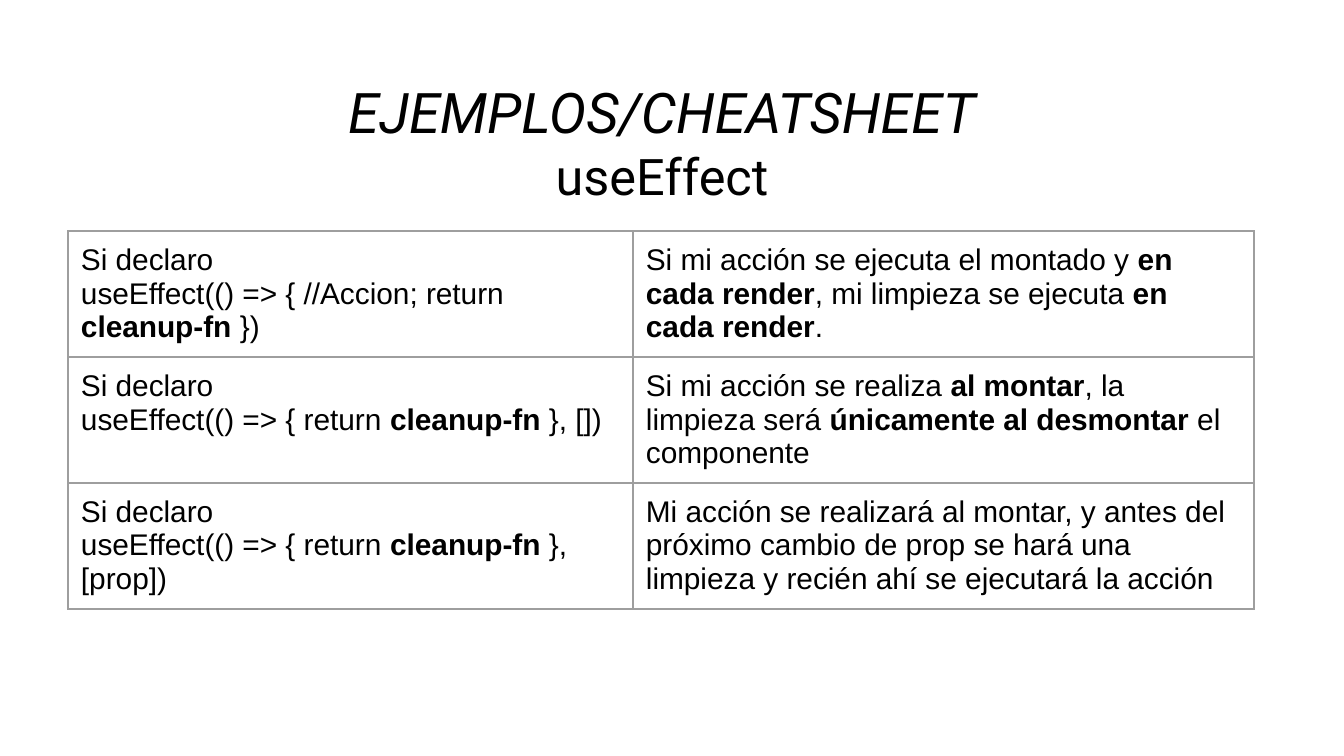
from lxml.etree import SubElement
from pptx import Presentation
from pptx.dml.color import RGBColor
from pptx.enum.text import MSO_ANCHOR, PP_ALIGN
from pptx.oxml.ns import qn
from pptx.util import Emu, Pt

EMU_PER_PX = 914400 / 134.4
BLACK = RGBColor(0x00, 0x00, 0x00)
GRID_GREY = RGBColor(0x9E, 0x9E, 0x9E)
INSET = 13

HEADING = [
    ("EJEMPLOS/CHEATSHEET", {"name": "Roboto", "size": Pt(30), "italic": True}),
    ("useEffect", {"name": "Roboto", "size": Pt(27), "italic": False}),
]
BODY_FONT = {"name": "Arial", "size": Pt(16)}
COLUMN_WIDTHS = [565, 621]
EFFECT_CASES = [
    (
        ["Si declaro", "useEffect(() => { //Accion; return **cleanup-fn **})"],
        ["Si mi acción se ejecuta el montado y **en cada render**, "
         "mi limpieza se ejecuta **en cada render**."],
    ),
    (
        ["Si declaro", "useEffect(() => { return **cleanup-fn **}, [])"],
        ["Si mi acción se realiza **al montar**, la limpieza será "
         "**únicamente al desmontar **el componente"],
    ),
    (
        ["Si declaro", "useEffect(() => { return **cleanup-fn **}, [prop])"],
        ["Mi acción se realizará al montar, y antes del próximo cambio de prop "
         "se hará una limpieza y recién ahí se ejecutará la acción"],
    ),
]


def px(length):
    """Turn px into EMU."""
    return Emu(round(length * EMU_PER_PX))


def apply_format(target, values):
    """Set each attribute in values on target."""
    for attribute, value in values.items():
        setattr(target, attribute, value)


def add_words(paragraph, words, font_values):
    """Add one formatted run to a paragraph."""
    run = paragraph.add_run()
    run.text = words
    apply_format(run.font, font_values)
    run.font.color.rgb = BLACK


def next_paragraph(frame, index):
    """Return the first paragraph of a frame, or a new one after it."""
    return frame.add_paragraph() if index else frame.paragraphs[0]


def add_heading(slide, left, top, width, height):
    """Place the two centred heading lines in the given box."""
    heading = slide.shapes.add_textbox(px(left), px(top), px(width), px(height))
    frame = heading.text_frame
    apply_format(frame, {
        "word_wrap": True,
        "vertical_anchor": MSO_ANCHOR.TOP,
        "margin_left": px(INSET),
        "margin_right": px(INSET),
        "margin_top": px(INSET + 5),
        "margin_bottom": px(INSET),
    })
    for index, (words, font_values) in enumerate(HEADING):
        line = next_paragraph(frame, index)
        line.alignment = PP_ALIGN.CENTER
        add_words(line, words, font_values)


def draw_borders(cell):
    """Give a cell a thin grey line on every side, ahead of its fill."""
    properties = cell._tc.get_or_add_tcPr()
    for position, side in enumerate(("a:lnL", "a:lnR", "a:lnT", "a:lnB")):
        border = SubElement(properties, qn(side), w=str(Pt(0.75)))
        solid = SubElement(border, qn("a:solidFill"))
        SubElement(solid, qn("a:srgbClr"), val=str(GRID_GREY))
        properties.insert(position, border)


def fill_cell(cell, lines):
    """Write lines into a cell, with text between ** marks in bold."""
    cell.fill.background()
    draw_borders(cell)
    sides = ("left", "right", "top", "bottom")
    apply_format(cell, {f"margin_{side}": px(INSET) for side in sides})
    for index, line in enumerate(lines):
        paragraph = next_paragraph(cell.text_frame, index)
        for part, words in enumerate(line.split("**")):
            add_words(paragraph, words, {**BODY_FONT, "bold": part % 2 == 1})


def add_effect_table(slide, left, top, width, height):
    """Place the table of useEffect cases in the given box."""
    effects = slide.shapes.add_table(
        len(EFFECT_CASES), len(COLUMN_WIDTHS),
        px(left), px(top), px(width), px(height),
    ).table
    apply_format(effects, {"first_row": False, "horz_banding": False})
    for column, column_width in zip(effects.columns, COLUMN_WIDTHS):
        column.width = px(column_width)
    for row, case in zip(effects.rows, EFFECT_CASES):
        row.height = px(height / len(EFFECT_CASES))
        for cell, lines in zip(row.cells, case):
            fill_cell(cell, lines)


def main():
    """Build and save the slide."""
    deck = Presentation()
    apply_format(deck, {"slide_width": px(1344), "slide_height": px(756)})
    slide = deck.slides.add_slide(deck.slide_layouts[6])
    add_effect_table(slide, 68, 231, sum(COLUMN_WIDTHS), 378)
    add_heading(slide, 207, 60, 910, 82)
    deck.save("out.pptx")


if __name__ == "__main__":
    main()
